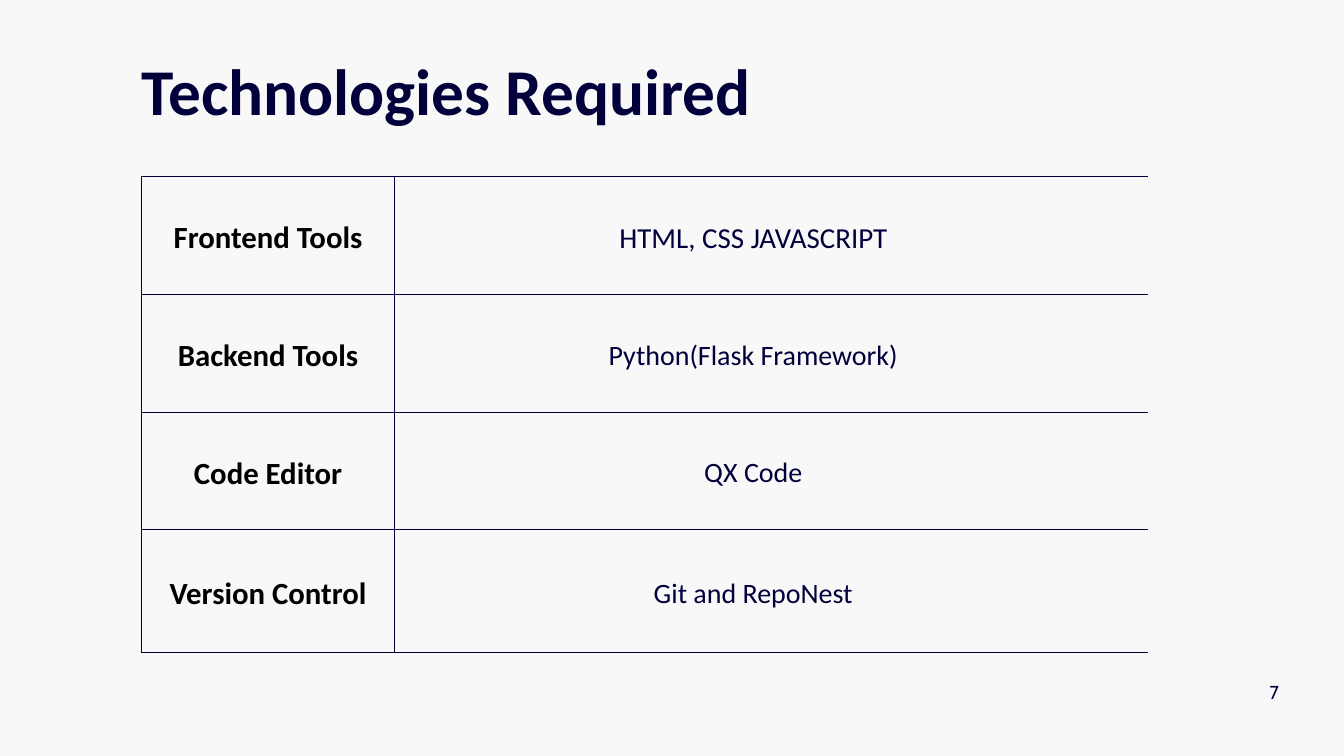
from lxml.etree import SubElement
from pptx import Presentation
from pptx.dml.color import RGBColor
from pptx.enum.text import MSO_ANCHOR, PP_ALIGN
from pptx.oxml.ns import qn
from pptx.util import Inches, Pt

NAVY = RGBColor(0x01, 0x00, 0x3B)
BLACK = RGBColor(0x00, 0x00, 0x00)
PAPER = RGBColor(0xF8, 0xF8, 0xF8)

LINE_SPACING = 1.4
COLUMN_WIDTHS = (3.76, 10.68, 0.54)
ROW_HEIGHTS = (1.75, 1.75, 1.75, 1.83)
TECHNOLOGIES = (
    ("Frontend Tools", "HTML, CSS JAVASCRIPT", 31),
    ("Backend Tools", "Python(Flask Framework)", 30),
    ("Code Editor", "QX Code", 30),
    ("Version Control", "Git and RepoNest", 30),
)


def write(frame, text, size, font="Calibri", color=NAVY, bold=False,
          align=PP_ALIGN.CENTER, spacing=LINE_SPACING):
    """Fill a text frame with one formatted paragraph; spacing is a multiple of size."""
    para = frame.paragraphs[0]
    para.alignment = align
    para.line_spacing = Pt(size * spacing)
    span = para.add_run()
    span.text = text
    span.font.name = font
    span.font.size = Pt(size)
    span.font.bold = bold
    span.font.color.rgb = color


def set_borders(cell, hidden=()):
    """Draw thin navy borders on a cell, except on the hidden sides (L, R, T, B)."""
    properties = cell._tc.get_or_add_tcPr()
    for side in "LRTB":
        line = SubElement(properties, qn(f"a:ln{side}"), w=str(Pt(0.75)))
        if side in hidden:
            SubElement(line, qn("a:noFill"))
        else:
            fill = SubElement(line, qn("a:solidFill"))
            SubElement(fill, qn("a:srgbClr"), val=str(NAVY))


class SlideBuilder:
    """Holds the current slide and its style."""

    def __init__(self, deck):
        self.slide = deck.slides.add_slide(deck.slide_layouts[6])
        background = self.slide.background.fill
        background.solid()
        background.fore_color.rgb = PAPER

    def text(self, left, top, width, height, text, size, wrap=True, **style):
        box = self.slide.shapes.add_textbox(
            Inches(left), Inches(top), Inches(width), Inches(height))
        frame = box.text_frame
        frame.word_wrap = wrap
        frame.margin_left = frame.margin_right = 0
        frame.margin_top = frame.margin_bottom = 0
        write(frame, text, size, **style)

    def cell(self, cell, text="", size=30, hidden=(), **style):
        set_borders(cell, hidden)
        cell.fill.solid()
        cell.fill.fore_color.rgb = PAPER
        cell.vertical_anchor = MSO_ANCHOR.MIDDLE
        if text:
            cell.margin_left = cell.margin_right = Inches(0.21)
            cell.margin_top = cell.margin_bottom = Inches(0.21)
            write(cell.text_frame, text, size, **style)

    def technology_table(self, left, top):
        table = self.slide.shapes.add_table(
            len(ROW_HEIGHTS), len(COLUMN_WIDTHS), Inches(left), Inches(top),
            Inches(sum(COLUMN_WIDTHS)), Inches(sum(ROW_HEIGHTS))).table
        table.first_row = table.horz_banding = False
        for column, width in zip(table.columns, COLUMN_WIDTHS):
            column.width = Inches(width)
        for row, height, entry in zip(table.rows, ROW_HEIGHTS, TECHNOLOGIES):
            row.height = Inches(height)
            label, tools, size = entry
            label_cell, tools_cell, end_cell = row.cells
            self.cell(label_cell, label, 33, color=BLACK, bold=True)
            self.cell(tools_cell, tools, size, hidden="R")
            self.cell(end_cell, hidden="LR")


def main():
    deck = Presentation()
    deck.slide_width = Inches(20)
    deck.slide_height = Inches(11.25)
    page = SlideBuilder(deck)
    page.text(2.11, 0.74, 15.88, 1.17, "Technologies Required", 70,
              bold=True, align=PP_ALIGN.LEFT, spacing=1.2)
    page.technology_table(2.11, 2.63)
    page.text(18.88, 10.07, 0.17, 0.22, "7", 20, wrap=False, font="Cabin")
    deck.save("out.pptx")


if __name__ == "__main__":
    main()
